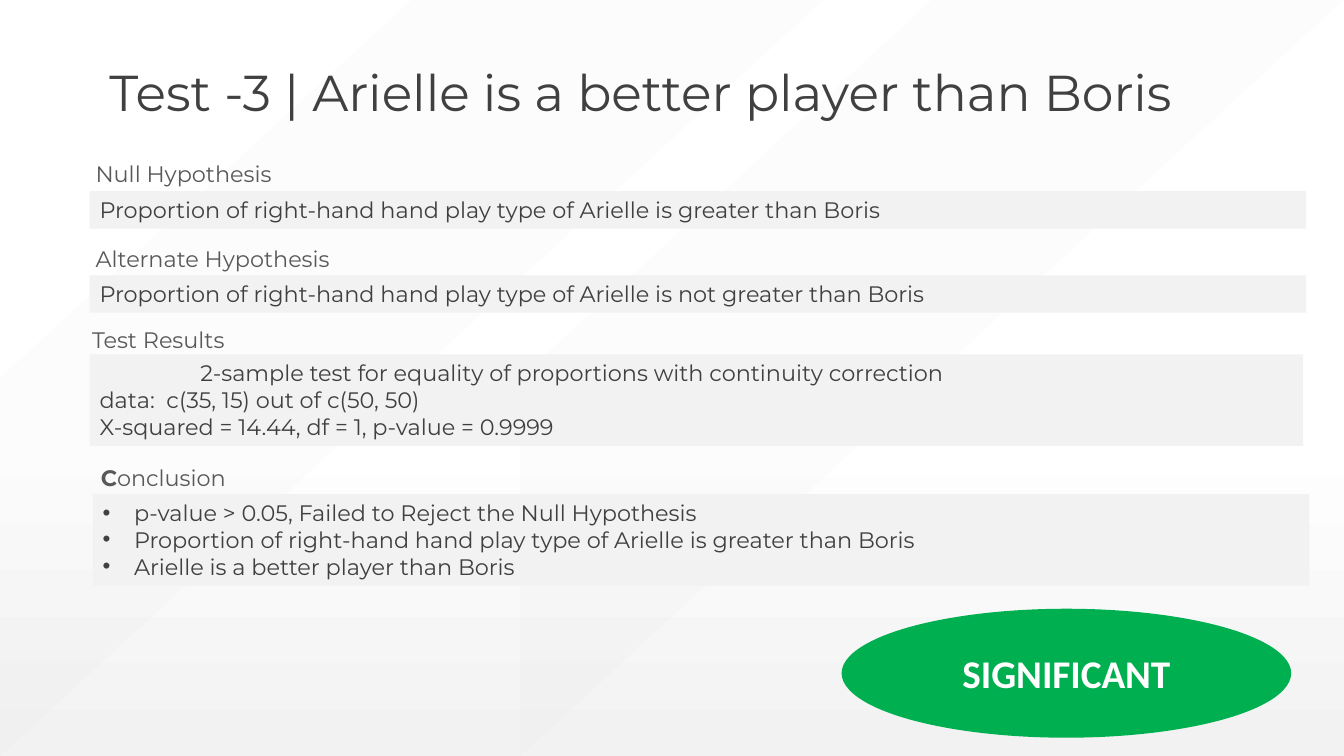
from lxml import etree
from pptx import Presentation
from pptx.dml.color import RGBColor
from pptx.enum.shapes import MSO_SHAPE as Preset
from pptx.enum.text import MSO_ANCHOR as Anchor, PP_ALIGN as Align
from pptx.oxml.ns import qn
from pptx.util import Cm, Pt

# Content
TITLE = "Test -3 | Arielle is a better player than Boris"
VERDICT = "SIGNIFICANT"
# Each line is a list of (text, bold) runs; places are (left, top, width, height) in cm
SECTIONS = [
    dict(heading=[("Null Hypothesis", False)], heading_at=(2.16, 3.91),
         panel_at=(2.26, 4.82, 30.66, 0.94),
         lines=["Proportion of right-hand hand play type of Arielle is greater than Boris"]),
    dict(heading=[("Alternate Hypothesis", False)], heading_at=(2.16, 6.04),
         panel_at=(2.26, 6.94, 30.66, 0.94),
         lines=["Proportion of right-hand hand play type of Arielle is not greater than Boris"]),
    dict(heading=[("Test Results", False)], heading_at=(2.07, 8.1),
         panel_at=(2.26, 8.93, 30.58, 2.31), first_indent=2.54,
         lines=["2-sample test for equality of proportions with continuity correction",
                "data:  c(35, 15) out of c(50, 50)",
                "X-squared = 14.44, df = 1, p-value = 0.9999"]),
    dict(heading=[("C", True), ("onclusion", False)], heading_at=(2.29, 11.56),
         panel_at=(2.34, 12.45, 30.66, 2.31), bullets=True,
         lines=["p-value > 0.05, Failed to Reject the Null Hypothesis",
                "Proportion of right-hand hand play type of Arielle is greater than Boris",
                "Arielle is a better player than Boris"]),
]
COLORS = dict(text="404040", heading="595959", panel="F2F2F2", stripe="D9D9D9",
              verdict="00B050", white="FFFFFF")
HEADING_SIZE = (8.18, 0.94)
BULLET_INDENT = 0.79

prs = Presentation()
prs.slide_width, prs.slide_height = Cm(33.87), Cm(19.05)
slide = prs.slides.add_slide(prs.slide_layouts[6])


def rgb(name):
    return RGBColor.from_string(COLORS[name])


def add_panel(preset, at, color, alpha=None):
    panel = slide.shapes.add_shape(preset, *map(Cm, at))
    panel.shadow.inherit = False
    panel.fill.solid()
    panel.fill.fore_color.rgb = rgb(color)
    panel.line.fill.background()
    if alpha is not None:
        fill_color = panel.fill._xPr.find(qn("a:solidFill"))[0]
        etree.SubElement(fill_color, qn("a:alpha")).set("val", str(alpha * 1000))
    return panel


def add_label(at):
    return slide.shapes.add_textbox(*map(Cm, at))


def write(shape, lines, size=16, color="text", font="Montserrat", align=Align.LEFT,
          anchor=Anchor.TOP, spacing=None, first_indent=0, bullets=False):
    frame = shape.text_frame
    frame.word_wrap = True
    frame.vertical_anchor = anchor
    for i, runs in enumerate(lines):
        paragraph = frame.add_paragraph() if i else frame.paragraphs[0]
        paragraph.alignment = align
        paragraph.line_spacing = spacing
        props = paragraph._p.get_or_add_pPr()
        if bullets:
            props.set("marL", str(Cm(BULLET_INDENT)))
            props.set("indent", str(-Cm(BULLET_INDENT)))
            etree.SubElement(props, qn("a:buFont")).set("typeface", "Arial")
            etree.SubElement(props, qn("a:buChar")).set("char", "•")
        elif first_indent and i == 0:
            props.set("indent", str(Cm(first_indent)))
        for text, bold in runs:
            run = paragraph.add_run()
            run.text = text
            run.font.size, run.font.name, run.font.bold = Pt(size), font, bold
            run.font.color.rgb = rgb(color)


# Background gradient and diagonal stripes
backdrop = slide.background.fill
backdrop.gradient()
backdrop.gradient_angle = 270
for stop, (position, color) in zip(backdrop.gradient_stops, [(0.57, "white"), (1, "panel")]):
    stop.position, stop.color.rgb = position, rgb(color)
for left in (0, 13.11):
    add_panel(Preset.DIAGONAL_STRIPE, (left, 0, 20.75, 19.05), "stripe", alpha=8)

# Title
write(add_label((2.51, 1.6, 30, 1.55)), [[(TITLE, False)]], size=36, spacing=0.9)

# Headings and their panels
for section in SECTIONS:
    panel = add_panel(Preset.RECTANGLE, section["panel_at"], "panel")
    write(panel, [[(line, False)] for line in section["lines"]],
          first_indent=section.get("first_indent", 0), bullets=section.get("bullets", False))
    write(add_label(section["heading_at"] + HEADING_SIZE), [section["heading"]], color="heading")

# Verdict
verdict = add_panel(Preset.OVAL, (21.21, 15.34, 11.33, 3.25), "verdict")
write(verdict, [[(VERDICT, True)]], size=28, color="white", font="Calibri",
      align=Align.CENTER, anchor=Anchor.MIDDLE)

prs.save("out.pptx")
